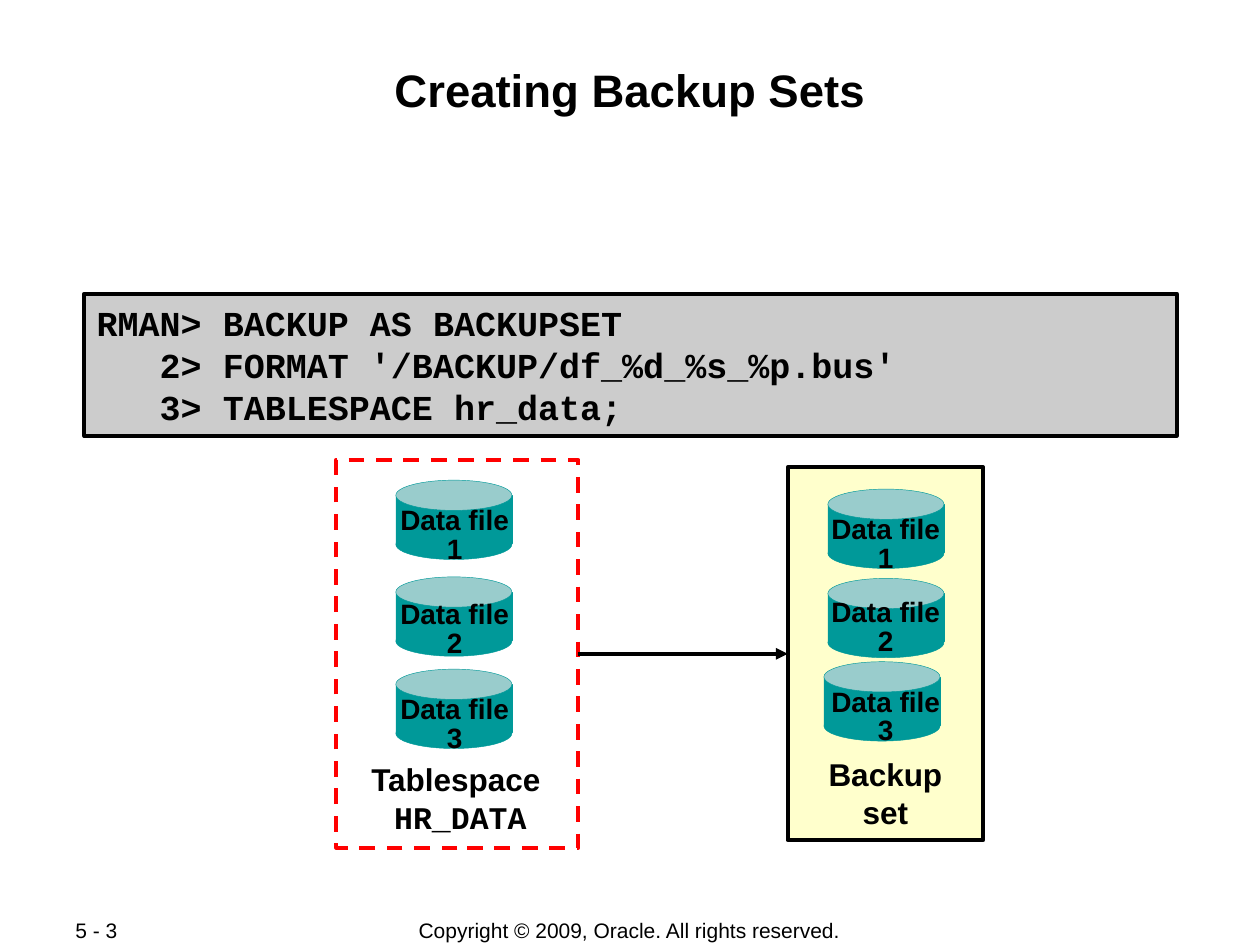
from dataclasses import dataclass

import pptx
import pptx.dml.color
import pptx.enum.dml
import pptx.enum.shapes
import pptx.enum.text
import pptx.oxml.ns
import pptx.util
from lxml import etree

Cm, Pt = pptx.util.Cm, pptx.util.Pt
SHAPE = pptx.enum.shapes.MSO_SHAPE
ALIGN = pptx.enum.text.PP_ALIGN
ANCHOR = pptx.enum.text.MSO_ANCHOR
qn = pptx.oxml.ns.qn

COLORS = {
    "black": "000000",
    "gray": "CCCCCC",
    "cream": "FFFFCC",
    "teal": "009999",
    "pale_teal": "99CCCC",
    "red": "FF0000",
}
CYLINDER_W, CAP_H, BODY_H = 2.34, 0.61, 0.97
LABEL_W, LABEL_H = 2.69, 1.37


@dataclass
class DataFile:
    number: int
    x: float
    y: float
    label_x: float
    label_y: float


DATA_FILES = [
    DataFile(1, 16.69, 9.86, 16.51, 10.29),
    DataFile(2, 16.69, 11.66, 16.51, 11.96),
    DataFile(3, 16.61, 13.34, 16.51, 13.77),
    DataFile(1, 7.98, 9.68, 7.82, 10.11),
    DataFile(2, 7.98, 11.63, 7.82, 12.01),
    DataFile(3, 7.98, 13.49, 7.82, 13.92),
]

CODE = """RMAN> BACKUP AS BACKUPSET
   2> FORMAT '/BACKUP/df_%d_%s_%p.bus'
   3> TABLESPACE hr_data;"""


def rgb(name: str) -> pptx.dml.color.RGBColor:
    return pptx.dml.color.RGBColor.from_string(COLORS[name])


def write(sp, text: str, *, size: float, bold: bool = True, font: str = "Arial",
          last_font: str = "", align=ALIGN.CENTER, anchor=ANCHOR.TOP,
          inset: tuple = (0.25, 0.13), spacing: float = 1.0) -> None:
    tf = sp.text_frame
    tf.word_wrap = True
    tf.auto_size = pptx.enum.text.MSO_AUTO_SIZE.NONE
    tf.vertical_anchor = anchor
    tf.margin_left = tf.margin_right = Cm(inset[0])
    tf.margin_top = tf.margin_bottom = Cm(inset[1])
    p = tf.paragraphs[0]
    p.alignment = align
    p.line_spacing = spacing
    lines = text.split("\n")
    for i, line in enumerate(lines):
        if i:
            p.add_line_break()
        r = p.add_run()
        r.text = line
        r.font.size = Pt(size)
        r.font.bold = bold
        r.font.name = last_font if last_font and i == len(lines) - 1 else font
        r.font.color.rgb = rgb("black")


def add_text(shapes, x: float, y: float, w: float, h: float, text: str, **fmt) -> None:
    write(shapes.add_textbox(Cm(x), Cm(y), Cm(w), Cm(h)), text, **fmt)


def add_box(shapes, kind, x: float, y: float, w: float, h: float, *,
            fill: str = "", line: str = "black", width: float = 2.25):
    sp = shapes.add_shape(kind, Cm(x), Cm(y), Cm(w), Cm(h))
    sp.shadow.inherit = False
    if fill:
        sp.fill.solid()
        sp.fill.fore_color.rgb = rgb(fill)
    else:
        sp.fill.background()
    sp.line.color.rgb = rgb(line)
    sp.line.width = Pt(width)
    return sp


def add_data_file(shapes, f: DataFile) -> None:
    group = shapes.add_group_shape().shapes
    parts = [
        (SHAPE.RECTANGLE, CAP_H / 2, BODY_H, "teal"),
        (SHAPE.OVAL, 0, CAP_H, "pale_teal"),
        (SHAPE.OVAL, 0.99, CAP_H, "teal"),
    ]
    for kind, dy, h, fill in parts:
        add_box(group, kind, f.x, f.y + dy, CYLINDER_W, h,
                fill=fill, line="teal", width=0.25)
    add_text(group, f.label_x, f.label_y, LABEL_W, LABEL_H, f"Data file {f.number}",
             size=16, inset=(0.23, 0.13), spacing=0.85)


def add_arrow(shapes, start, end) -> None:
    c = shapes.add_connector(pptx.enum.shapes.MSO_CONNECTOR.STRAIGHT, 0, 0, 0, 0)
    c.begin_connect(start, 3)
    c.end_connect(end, 1)
    c.line.color.rgb = rgb("black")
    c.line.width = Pt(2.25)
    etree.SubElement(c.line._get_or_add_ln(), qn("a:tailEnd"), type="triangle")
    etree.SubElement(c._element.spPr, qn("a:effectLst"))


def main() -> None:
    prs = pptx.Presentation()
    prs.slide_width, prs.slide_height = Cm(25.4), Cm(19.05)
    s = prs.slides.add_slide(prs.slide_layouts[5])
    shapes = s.shapes

    title = shapes.title
    title.left, title.top, title.width, title.height = Cm(1.7), Cm(1.22), Cm(22), Cm(2.44)
    write(title, "Creating Backup Sets", size=26, inset=(0.03, 0.03))

    add_text(shapes, 6.99, 18.49, 11.4, 0.53,
             "Copyright © 2009, Oracle. All rights reserved.",
             size=12, bold=False, anchor=ANCHOR.MIDDLE)
    add_text(shapes, 1.27, 18.49, 2.69, 0.51, "5 - 3",
             size=12, bold=False, align=ALIGN.LEFT, anchor=ANCHOR.MIDDLE)

    code = add_box(shapes, SHAPE.RECTANGLE, 1.7, 5.92, 22.02, 2.87, fill="gray")
    write(code, CODE, size=20, font="Courier New", align=ALIGN.LEFT,
          anchor=ANCHOR.MIDDLE, inset=(0.25, 0.03))

    backup = add_box(shapes, SHAPE.RECTANGLE, 15.88, 9.42, 3.94, 7.52, fill="cream")
    write(backup, "Backup\nset", size=18, anchor=ANCHOR.BOTTOM, inset=(0.25, 0.2))

    tablespace = add_box(shapes, SHAPE.RECTANGLE, 6.78, 9.27, 4.88, 7.82, line="red")
    tablespace.line.dash_style = pptx.enum.dml.MSO_LINE.DASH
    add_text(shapes, 7.21, 15.19, 4.14, 1.78, "Tablespace \nHR_DATA",
             size=18, last_font="Courier New")

    add_arrow(shapes, tablespace, backup)
    for f in DATA_FILES:
        add_data_file(shapes, f)

    prs.save("out.pptx")


if __name__ == "__main__":
    main()
